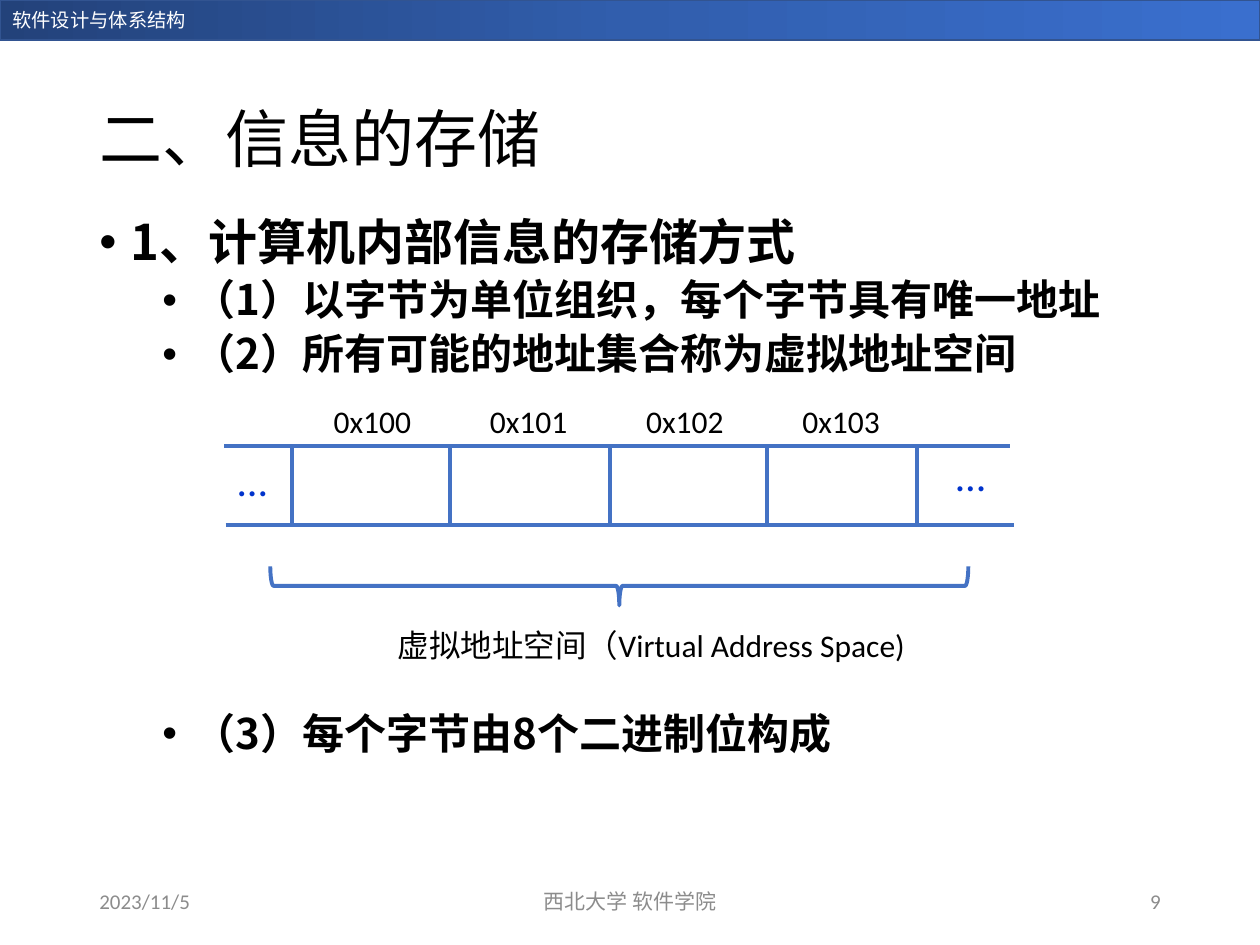
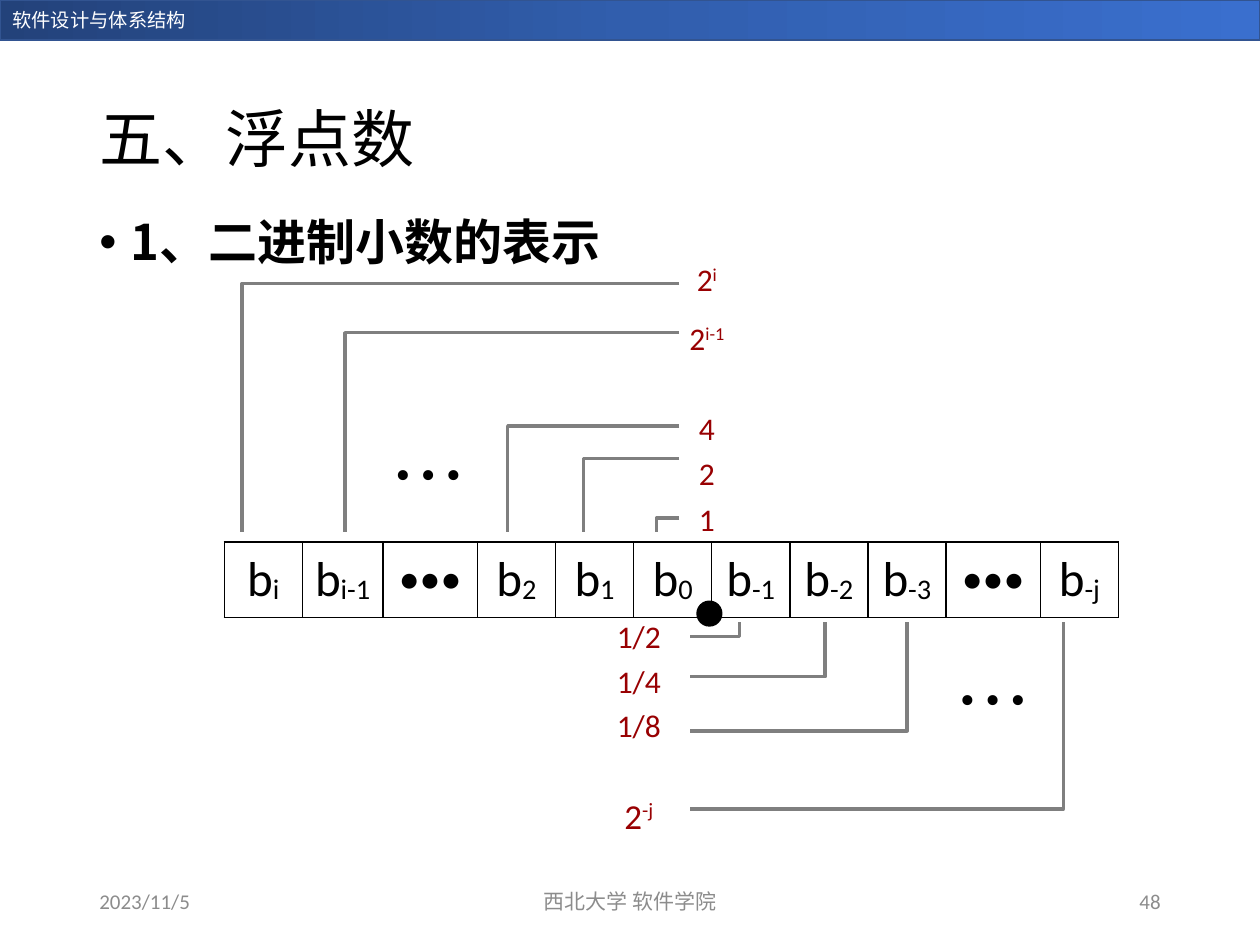
from copy import deepcopy
from dataclasses import dataclass
from itertools import accumulate
from lxml import etree
from pptx import Presentation, util as u
from pptx.dml.color import RGBColor
from pptx.enum import shapes, text
from pptx.oxml.ns import qn

WIDE, HIGH = u.Inches(10), u.Inches(7.5)
COL, ROW = WIDE / 10, HIGH / 7.5
SANS, HAN, SERIF = "Calibri", "Noto Sans CJK SC", "Times New Roman"
BLACK, WHITE, GREY, RED = "000000", "FFFFFF", "8C8C8C", "980002"
BLUE, INK, WIRE = "4472C4", "0033CC", "7F7F7F"
BAND, EDGE = ("23427A", "315EAD", "3A6FCE"), "325491"
LEFT, MID, RIGHT = text.PP_ALIGN.LEFT, text.PP_ALIGN.CENTER, text.PP_ALIGN.RIGHT
TOP, CORE = text.MSO_ANCHOR.TOP, text.MSO_ANCHOR.MIDDLE


@dataclass
class Box:
    x: float
    y: float
    w: float
    h: float

    def sub(self, x, y, w=0, h=0):
        return Box(self.x + x, self.y + y, w, h)

    def emu(self):
        return (round(self.x * COL), round(self.y * ROW),
                round(self.w * COL), round(self.h * ROW))


PAGE = Box(0, 0, 10, 7.5)
HEAD = Box(0.69, 0.4, 8.62, 1.45)
BODY = Box(0.69, 1.68, 8.62, 4.76)
FOOT = Box(0.69, 6.95, 8.62, 0.4)


def tint(code):
    return RGBColor.from_string(code)


def style(para, size, color=BLACK, face=SANS, bold=False):
    for run in para.runs:
        font = run.font
        font.size, font.bold, font.name = u.Pt(size), bold, face
        font.color.rgb = tint(color)
        etree.SubElement(run._r.get_or_add_rPr(), qn("a:ea"), typeface=HAN)


def label(slide, box, words, size, color=BLACK, align=LEFT, anchor=TOP):
    frame = slide.shapes.add_textbox(*box.emu()).text_frame
    frame.word_wrap, frame.vertical_anchor = True, anchor
    frame.text = words
    para = frame.paragraphs[0]
    para.alignment = align
    style(para, size, color)


def shape(slide, kind, box, fill=None, line=None, width=1):
    item = slide.shapes.add_shape(kind, *box.emu())
    paint(item, fill, line, width)
    return item


def paint(item, fill, line, width):
    item.shadow.inherit = False
    if fill:
        item.fill.solid()
        item.fill.fore_color.rgb = tint(fill)
    else:
        item.fill.background()
    if line:
        item.line.color.rgb = tint(line)
        item.line.width = u.Pt(width)
    else:
        item.line.fill.background()


def rule(slide, start, end):
    (x, y, *_), (right, low, *_) = start.emu(), end.emu()
    line = slide.shapes.add_connector(
        shapes.MSO_CONNECTOR.STRAIGHT, x, y, right, low)
    line.line.color.rgb = tint(BLUE)
    line.line.width = u.Pt(2.25)
    etree.SubElement(line._element.spPr, qn("a:effectLst"))


def band(slide, box):
    bar = shape(slide, shapes.MSO_SHAPE.RECTANGLE, box, line=EDGE)
    bar.fill.gradient()
    bar.fill.gradient_angle = 0
    stops = bar._element.spPr.find(".//" + qn("a:gsLst"))
    stops.insert(1, deepcopy(stops[0]))
    for i, (stop, code) in enumerate(zip(bar.fill.gradient_stops, BAND)):
        stop.position = i / 2
        stop.color.rgb = tint(code)
    label(slide, box.sub(0, 0.02, 2.49, 0.29), "软件设计与体系结构", 11, WHITE)


def foot(slide, box, page):
    parts = ((0, 2.25, "2023/11/5", LEFT), (2.62, 3.38, "西北大学 软件学院", MID),
             (6.37, 2.25, page, RIGHT))
    for x, w, words, align in parts:
        label(slide, box.sub(x, 0, w, box.h), words, 12, GREY, align, CORE)


def base(deck, title, page):
    slide = deck.slides.add_slide(deck.slide_layouts[5])
    head = slide.shapes.title
    head.left, head.top, head.width, head.height = HEAD.emu()
    frame = head.text_frame
    frame.text = title
    frame.auto_size, frame.vertical_anchor = text.MSO_AUTO_SIZE.NONE, CORE
    para = frame.paragraphs[0]
    para.alignment, para.line_spacing = LEFT, 0.9
    style(para, 36, face=HAN)
    band(slide, Box(0, 0, PAGE.w, 0.32))
    foot(slide, FOOT, page)
    return slide


def points(slide, box, items):
    frame = slide.shapes.add_textbox(*box.emu()).text_frame
    frame.word_wrap = True
    frame.text = "\n".join(words for words, *_ in items)
    for para, (_, level, gap) in zip(frame.paragraphs, items):
        prop = para._p.get_or_add_pPr()
        prop.set("marL", str(u.Inches(0.25 + 0.5 * level)))
        prop.set("indent", str(-u.Inches(0.25)))
        etree.SubElement(prop, qn("a:buFont"), typeface="Arial")
        etree.SubElement(prop, qn("a:buChar"), char="•")
        para.level, para.line_spacing = level, 0.9
        para.space_before = u.Pt(gap)
        style(para, 28 - 4 * level, face=HAN, bold=True)


def memory(slide, box):
    rule(slide, box.sub(0, 0.4), box.sub(6.24, 0.4))
    rule(slide, box.sub(0.01, 1.03), box.sub(6.27, 1.03))
    for x in (0.54, 1.79, 3.06, 4.31, 5.5):
        rule(slide, box.sub(x, 0.4), box.sub(x, 1.03))
    for x, y in ((0.01, 0.42), (5.71, 0.38)):
        label(slide, box.sub(x, y, 0.36, 0.5), "…", 24, INK)
    for i in range(4):
        label(slide, box.sub(0.77 + 1.24 * i, 0, 0.84, 0.4), f"0x10{i}", 18)
    brace = shape(slide, shapes.MSO_SHAPE.RIGHT_BRACE,
                  box.sub(2.98, -1.26, 0.31, 5.54), line=BLUE, width=2.25)
    brace.rotation = 90
    label(slide, box.sub(1.28, 1.78, 4.78, 0.4),
          "虚拟地址空间（Virtual Address Space)", 18)


def fill(cell, words, size, color, pad, edge):
    cell.margin_left = cell.margin_right = u.Inches(pad)
    cell.margin_top = cell.margin_bottom = u.Inches(pad)
    cell.vertical_anchor = CORE
    prop = cell._tc.get_or_add_tcPr()
    for side in "LRTB":
        line = etree.SubElement(prop, qn("a:ln" + side), w=str(u.Pt(1)))
        solid = etree.SubElement(line, qn("a:solidFill"))
        etree.SubElement(solid, qn("a:srgbClr"), val=edge)
    cell.fill.background()
    mark, shift = ("^", 32000) if "^" in words else ("_", -6000)
    stem, _, tail = words.partition(mark)
    para = cell.text_frame.paragraphs[0]
    para.text, para.alignment = stem, MID
    if tail:
        run = para.add_run()
        run.text = tail
        run._r.get_or_add_rPr().set("baseline", str(shift))
    style(para, size, color)


def table(slide, spot, cols, rows, words, sizes, color, pad, edge):
    box = Box(spot.x, spot.y, sum(cols), sum(rows))
    grid = slide.shapes.add_table(len(rows), len(cols), *box.emu()).table
    grid.first_row = grid.horz_banding = False
    for col, w in zip(grid.columns, cols):
        col.width = round(w * COL)
    for row, h in zip(grid.rows, rows):
        row.height = round(h * ROW)
    for cell, word, size in zip(grid.iter_cells(), words, sizes):
        fill(cell, word, size, color, pad, edge)


def wire(slide, box, tip, knee, end):
    x, y = knee
    spots = [box.sub(*p).emu()[:2] for p in ((tip, y), knee, (x, end))]
    path = slide.shapes.build_freeform(*spots[0])
    path.add_line_segments(spots[1:], close=False)
    paint(path.convert_to_shape(), None, WIRE, 2)


def dots(slide, box):
    item = shape(slide, shapes.MSO_SHAPE.RECTANGLE, box, WHITE)
    frame = item.text_frame
    frame.margin_left = frame.margin_right = u.Inches(0.04)
    frame.margin_top = frame.margin_bottom = u.Inches(0.04)
    frame.word_wrap, frame.vertical_anchor = False, CORE
    frame.text = "• • •"
    frame.paragraphs[0].alignment = LEFT
    style(frame.paragraphs[0], 24, face=SERIF)


def whole(slide, box):
    table(slide, box.sub(3.51, 0), [0.64], [0.47, 0.47, 0.29] + [0.36] * 3,
          ["2^i", "2^i-1", "", "4", "2", "1"], [18] * 6, RED, 0, WHITE)
    for knee in ((0.14, 0.26), (0.96, 0.65), (2.25, 1.39), (2.85, 1.65), (3.43, 2.12)):
        wire(slide, box, 3.61, knee, 2.23)
    dots(slide, box.sub(1.32, 1.47, 0.61, 0.58))


def part(slide, box):
    table(slide, box.sub(0, 0), [0.72], [0.35] * 3 + [0.22, 0.49],
          ["1/2", "1/4", "1/8", "", "2^-j"], [18] * 4 + [20], RED, 0, WHITE)
    for knee in ((1.16, 0.16), (1.84, 0.48), (2.49, 0.91), (3.73, 1.53)):
        wire(slide, box, 0.77, knee, 0.05)
    dots(slide, box.sub(2.87, 0.36, 0.61, 0.58))


def digits(slide, box):
    words = ["b_i", "b_i-1", "•••", "b_2", "b_1", "b_0",
             "b_-1", "b_-2", "b_-3", "•••", "b_-j"]
    cols = [0.75 if word == "•••" else 0.62 for word in words]
    cols[1] = 0.64
    sizes = [24 if word == "•••" else 28 for word in words]
    table(slide, box, cols, [box.h], words, sizes, BLACK, 0.06, BLACK)
    ends = list(accumulate(cols))
    shape(slide, shapes.MSO_SHAPE.OVAL,
          box.sub(ends[5] - 0.11, 0.48, 0.18, 0.18), BLACK, BLACK, 2)


def main():
    deck = Presentation()
    deck.slide_width, deck.slide_height = WIDE, HIGH

    store = base(deck, "二、信息的存储", "9")
    points(store, BODY, [
        ("1、计算机内部信息的存储方式", 0, 0),
        ("（1）以字节为单位组织，每个字节具有唯一地址", 1, 5),
        ("（2）所有可能的地址集合称为虚拟地址空间", 1, 5),
        ("（3）每个字节由8个二进制位构成", 1, 191)])
    memory(store, Box(1.78, 3.14, 6.27, 2.18))

    real = base(deck, "五、浮点数", "48")
    points(real, BODY, [("1、二进制小数的表示", 0, 0)])
    whole(real, Box(1.78, 1.99, 4.15, 2.33))
    part(real, Box(4.71, 4.89, 3.73, 1.89))
    digits(real, Box(1.78, 4.3, 7.14, 0.6))

    deck.save("out.pptx")


if __name__ == "__main__":
    main()
